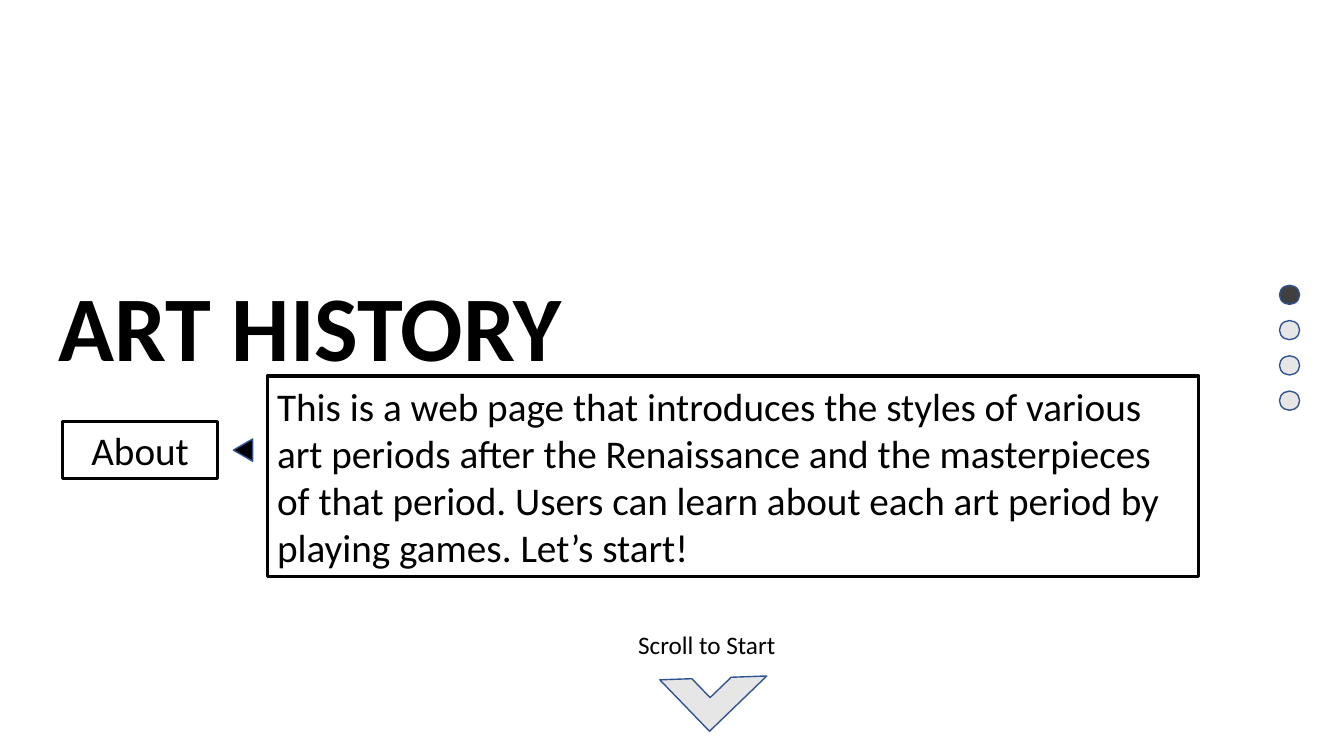
import pptx
import pptx.util
import pptx.dml.color
import pptx.enum.shapes
import pptx.enum.text

Inches = pptx.util.Inches
Pt = pptx.util.Pt
RGBColor = pptx.dml.color.RGBColor
SHAPE = pptx.enum.shapes.MSO_SHAPE
ALIGN = pptx.enum.text.PP_ALIGN
ANCHOR = pptx.enum.text.MSO_ANCHOR

BLACK = RGBColor(0x00, 0x00, 0x00)
DARK = RGBColor(0x40, 0x40, 0x40)
LIGHT = RGBColor(0xE7, 0xE6, 0xE6)
BLUE = RGBColor(0x32, 0x54, 0x91)

prs = pptx.Presentation()
prs.slide_width = Inches(13.33)
prs.slide_height = Inches(7.5)
s = prs.slides.add_slide(prs.slide_layouts[6])


def add_shape(kind, x, y, w, h, fill=None, line=BLUE, width=1, rotation=0):
    sp = s.shapes.add_shape(kind, Inches(x), Inches(y), Inches(w), Inches(h))
    sp.shadow.inherit = False
    sp.rotation = rotation
    if fill is None:
        sp.fill.background()
    else:
        sp.fill.solid()
        sp.fill.fore_color.rgb = fill
    sp.line.color.rgb = line
    sp.line.width = Pt(width)
    return sp


def set_text(sp, text, size=28, bold=False, align=ALIGN.LEFT, anchor=ANCHOR.MIDDLE):
    tf = sp.text_frame
    tf.word_wrap = True
    tf.vertical_anchor = anchor
    p = tf.paragraphs[0]
    p.alignment = align
    r = p.add_run()
    r.text = text
    r.font.name = "Calibri"
    r.font.size = Pt(size)
    r.font.bold = bold
    r.font.color.rgb = BLACK


# Title
title = s.shapes.add_textbox(Inches(0.48), Inches(2.62), Inches(7.9), Inches(1.21))
set_text(title, "ART HISTORY", size=66, bold=True, anchor=ANCHOR.TOP)

# Scroll hint with its chevron
add_shape(SHAPE.HALF_FRAME, 6.72, 6.33, 0.71, 0.79, fill=LIGHT, rotation=226)
hint = s.shapes.add_textbox(Inches(6.23), Inches(6.19), Inches(1.69), Inches(0.4))
set_text(hint, "Scroll to Start", size=18, anchor=ANCHOR.TOP)

# About button and its description
about = add_shape(SHAPE.RECTANGLE, 0.62, 4.18, 1.54, 0.57, line=BLACK, width=2.25)
set_text(about, "About", align=ALIGN.CENTER)
description = add_shape(SHAPE.RECTANGLE, 2.65, 3.73, 9.24, 1.99, line=BLACK, width=2.25)
set_text(description,
         "This is a web page that introduces the styles of various art periods "
         "after the Renaissance and the masterpieces of that period. Users can "
         "learn about each art period by playing games. Let’s start!")
add_shape(SHAPE.ISOSCELES_TRIANGLE, 2.3, 4.37, 0.22, 0.19, fill=BLACK, rotation=270)

# Page dots, the first one active
for i in range(4):
    add_shape(SHAPE.OVAL, 12.69, 2.83 + 0.35 * i, 0.2, 0.19,
              fill=DARK if i == 0 else LIGHT)

prs.save("out.pptx")
